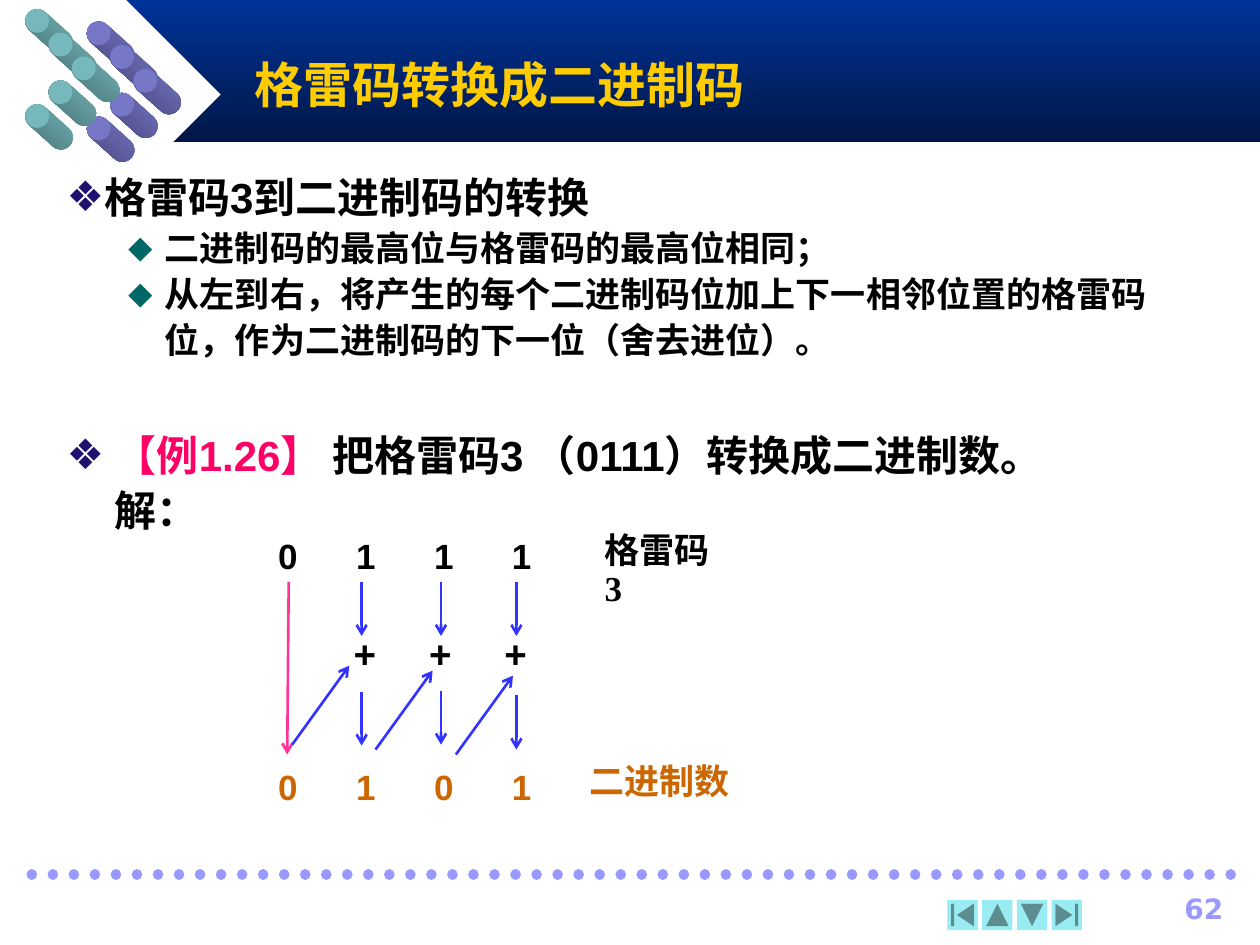
from lxml import etree
from pptx import Presentation
from pptx.dml.color import RGBColor
from pptx.enum import dml, shapes, text
from pptx.oxml import ns
from pptx.util import Cm, Pt

COLORS = {
    "band_top": "003399", "band_bottom": "001746", "white": "FFFFFF",
    "title": "FFCC00", "ink": "000000", "example": "FF0066",
    "diamond": "1E116F", "sub": "006666", "result": "CC6600",
    "violet": "9999FF", "aqua": "98ECF2",
    "violet_disc": "7777C8", "aqua_disc": "76B8BC",
    "violet_dark": "46467A", "aqua_dark": "466E70",
    "copy_arrow": "FF3399", "add_arrow": "3333FF",
}
LATIN, SERIF = "Arial", "Times New Roman"

# Content: each paragraph is (style, [(text, font, colour), ...])
TITLE = "格雷码转换成二进制码"
RULES = [
    ("head", [("格雷码", SERIF, "ink"), ("3到", LATIN, "ink"),
              ("二进制码的转换", SERIF, "ink")]),
    ("sub", [("二进制码的最高位与格雷码的最高位相同；", SERIF, "ink")]),
    ("sub", [("从左到右，将产生的每个二进制码位加上下一相邻位置的格雷码位，作为", SERIF, "ink"),
             ("二进制", LATIN, "ink"), ("码的下一位（舍去进位）。", SERIF, "ink")]),
]
EXAMPLE = [
    ("example", [("【例1.26】", LATIN, "example"), (" 把", LATIN, "ink"),
                 ("格雷", SERIF, "ink"), ("码3", LATIN, "ink"), (" （", SERIF, "ink"),
                 ("0111）转换成二进制数。", LATIN, "ink")]),
    ("answer", [("解：", LATIN, "ink")]),
]
# style: size, level, left margin, first-line indent, bullet, bullet colour
STYLES = {
    "head": (24, 0, 0.51, -0.51, "❖", "diamond"),
    "sub": (20, 1, 1.98, -0.74, "⬥", "sub"),
    "example": (24, 0, 0.97, -0.97, "❖", "diamond"),
    "answer": (24, 0, 0.97, 0, None, None),
}
# Sum rows: text, size, colour, line spacing, space before, tab step
SUM_ROWS = [
    ("0\t1\t1\t1", 20, "ink", Pt(19), 0, 1.57),
    ("\t+\t+\t+", 22, "ink", Pt(19), 38, 1.52),
    ("0\t1\t0\t1", 20, "result", 1.1, 49, 1.57),
]
LABELS = [
    ("格雷码3", "ink", (11.94, 10.62, 2.8, 1.02)),
    ("二进制数", "result", (11.63, 15.29, 3.5, 1.02)),
]
ADD_COLUMNS = [(7.29, 13.94), (8.89, 13.92), (10.41, 14.02)]
CARRY_STARTS = [(5.89, 15.01), (7.57, 15.11), (9.19, 15.21)]
BUTTONS = [("BEGINNING", 0), ("BACK_OR_PREVIOUS", 90),
           ("FORWARD_OR_NEXT", 90), ("END", 0)]


def rgb(name):
    return RGBColor.from_string(COLORS[name])


def cms(values):
    return [Cm(value) for value in values]


def add_element(parent, tag, **attributes):
    return etree.SubElement(parent, ns.qn(tag), attributes)


def set_font(font, size=None, name=None, color=None):
    font.bold = True
    if size:
        font.size = Pt(size)
    if name:
        font.name = name
    if color:
        font.color.rgb = rgb(color)


def add_shape(kind, at, color):
    shape = page.shapes.add_shape(kind, *cms(at))
    shape.shadow.inherit = False
    shape.line.fill.background()
    shape.fill.solid()
    shape.fill.fore_color.rgb = rgb(color)
    return shape


def set_gradient(shape, colors, angle):
    shape.fill.gradient()
    shape.fill.gradient_angle = angle
    for stop, color in zip(shape.fill.gradient_stops, colors):
        stop.color.rgb = rgb(color)


def add_line(start, end, color, width):
    line = page.shapes.add_connector(shapes.MSO_CONNECTOR.STRAIGHT, *cms(start + end))
    line.line.color.rgb = rgb(color)
    line.line.width = Pt(width)
    add_element(line._element.spPr, "a:effectLst")
    return line


def add_arrow(start, end, color):
    arrow = add_line(start, end, color, 1.5)
    add_element(arrow.line._get_or_add_ln(), "a:tailEnd", type="arrow")


def add_text_box(at):
    box = page.shapes.add_textbox(*cms(at))
    box.text_frame.word_wrap = True
    return box.text_frame


def place(holder, at):
    """Position a placeholder and bring it in front of the header art."""
    holder.left, holder.top, holder.width, holder.height = cms(at)
    holder._element.getparent().append(holder._element)
    holder.text_frame.auto_size = text.MSO_AUTO_SIZE.NONE
    return holder.text_frame


def next_para(frame, index):
    return frame.add_paragraph() if index else frame.paragraphs[0]


def fill_list(frame, items):
    frame.vertical_anchor = text.MSO_ANCHOR.TOP
    for index, (style, spans) in enumerate(items):
        size, level, margin, indent, bullet, bullet_color = STYLES[style]
        para = next_para(frame, index)
        para.level = level
        props = para._p.get_or_add_pPr()
        props.set("marL", str(Cm(margin)))
        props.set("indent", str(Cm(indent)))
        if bullet:
            color = add_element(props, "a:buClr")
            add_element(color, "a:srgbClr", val=COLORS[bullet_color])
            add_element(props, "a:buChar", char=bullet)
        else:
            add_element(props, "a:buNone")
        para.line_spacing, para.space_before = 1.1, Pt(0)
        for words, font, color in spans:
            span = para.add_run()
            span.text = words
            set_font(span.font, size, font, color)


deck = Presentation()
deck.slide_width, deck.slide_height = Cm(25.4), Cm(19.05)
page = deck.slides.add_slide(deck.slide_layouts[3])
title, rules, example = page.placeholders
KIND = shapes.MSO_SHAPE

# Header band with its white corner
band = add_shape(KIND.RECTANGLE, (2.54, 0, 22.86, 2.87), "band_top")
set_gradient(band, ("band_top", "band_bottom"), 270)
add_shape(KIND.DIAMOND, (0.64, 0, 3.81, 3.81), "white")

# Two chevrons of rods, each a shaded body under a disc
ROD, STEP = 0.48, 0.47
for hue, left, top in (("violet", 1.75, 0.43), ("aqua", 0.51, 0.18)):
    for row, column in enumerate((0, 1, 2, 1, 0)):
        x, y = left + column * STEP, top + row * STEP * 1.02
        body = add_shape(KIND.ROUNDED_RECTANGLE, (x - 0.08, y + 0.22, 1.12, ROD), hue)
        body.adjustments[0] = 0.5
        body.rotation = 42
        set_gradient(body, (hue + "_disc", hue + "_dark"), 270)
        add_shape(KIND.OVAL, (x, y, ROD, ROD), hue + "_disc")

# Footer: dotted rule, navigation buttons, page number
rule = add_line((0.64, 17.63), (24.97, 17.63), "violet", 6)
rule.line.dash_style = dml.MSO_LINE.ROUND_DOT
rule.line._get_or_add_ln().set("cap", "rnd")
for index, (name, turn) in enumerate(BUTTONS):
    button = add_shape(KIND["ACTION_BUTTON_" + name],
                       (19.1 + index * 0.7, 18.14, 0.61, 0.61), "aqua")
    button.rotation = turn
para = add_text_box((22.5, 17.85, 2.41, 0.84)).paragraphs[0]
para.text = "62"
para.alignment = text.PP_ALIGN.RIGHT
set_font(para.font, 16, "DejaVu Sans", "violet")

# Title and lists
frame = place(title, (4.88, 0.84, 19.05, 1.7))
frame.vertical_anchor = text.MSO_ANCHOR.MIDDLE
para = frame.paragraphs[0]
para.text = TITLE
para.alignment = text.PP_ALIGN.LEFT
set_font(para.font, 28, LATIN, "title")
fill_list(place(rules, (1.09, 3.23, 22.6, 4.22)), RULES)
fill_list(place(example, (1.09, 8.43, 23.55, 2.39)), EXAMPLE)

# Sum: Gray digits, plus signs and binary digits on tab stops
frame = add_text_box((5.36, 10.82, 6.93, 5.61))
for index, (words, size, color, spacing, before, step) in enumerate(SUM_ROWS):
    para = next_para(frame, index)
    para.text = words
    tabs = add_element(para._p.get_or_add_pPr(), "a:tabLst")
    for stop in (1, 2, 3):
        add_element(tabs, "a:tab", pos=str(Cm(stop * step)), algn="l")
    para.line_spacing, para.space_before = spacing, Pt(before)
    set_font(para.font, size, LATIN, color)

for words, color, at in LABELS:
    para = add_text_box(at).paragraphs[0]
    para.text = words
    para.line_spacing = 0.9
    set_font(para.font, 20, SERIF, color)

# Arrows: first digit copied, the others added to the previous result
add_arrow((5.82, 11.73), (5.79, 15.21), "copy_arrow")
for x, y in ADD_COLUMNS:
    for top in (11.73, y):
        add_arrow((x, top), (x, top + 1.09), "add_arrow")
for x, y in CARRY_STARTS:
    add_arrow((x, y), (x + 1.15, y - 1.59), "add_arrow")

deck.save("out.pptx")
